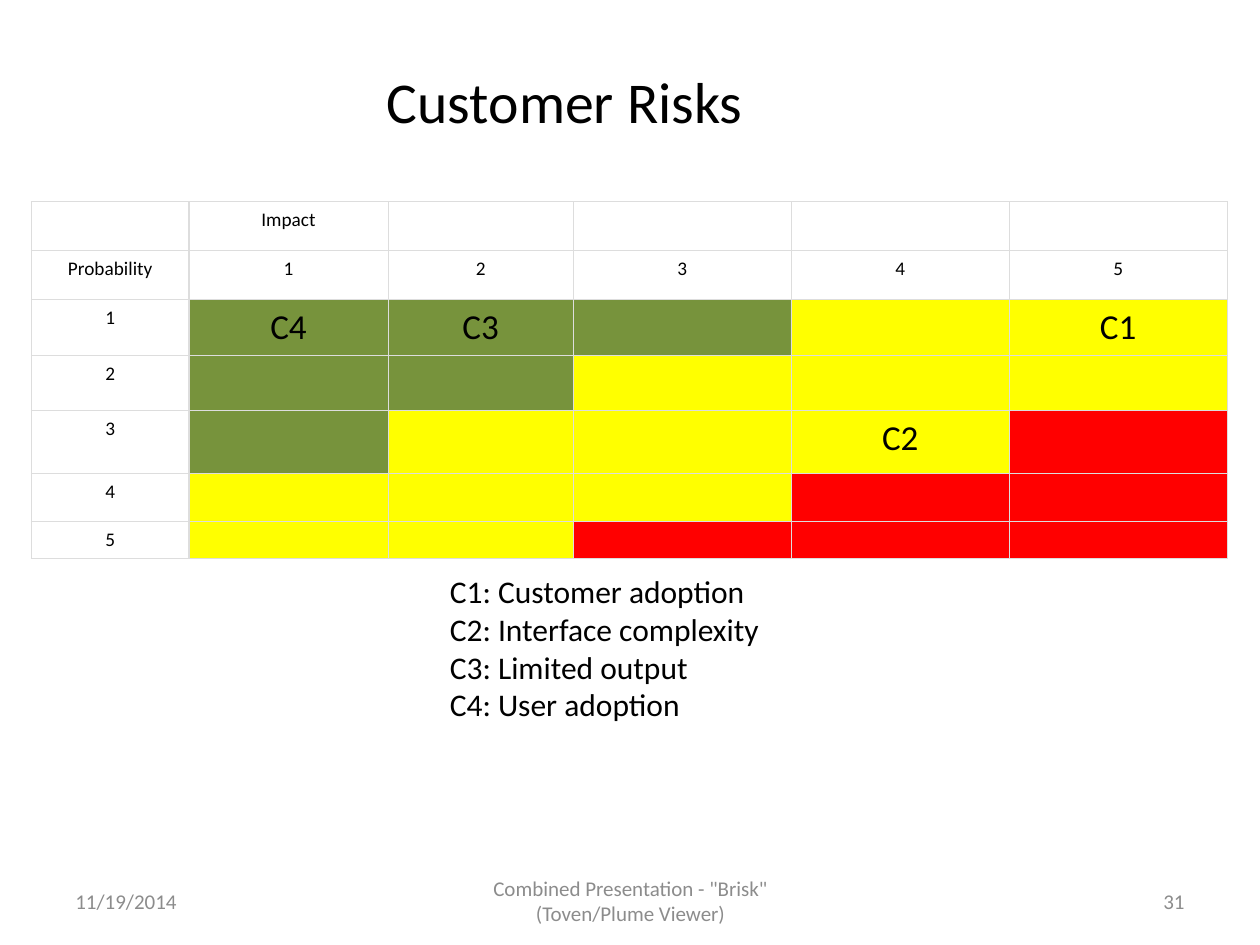
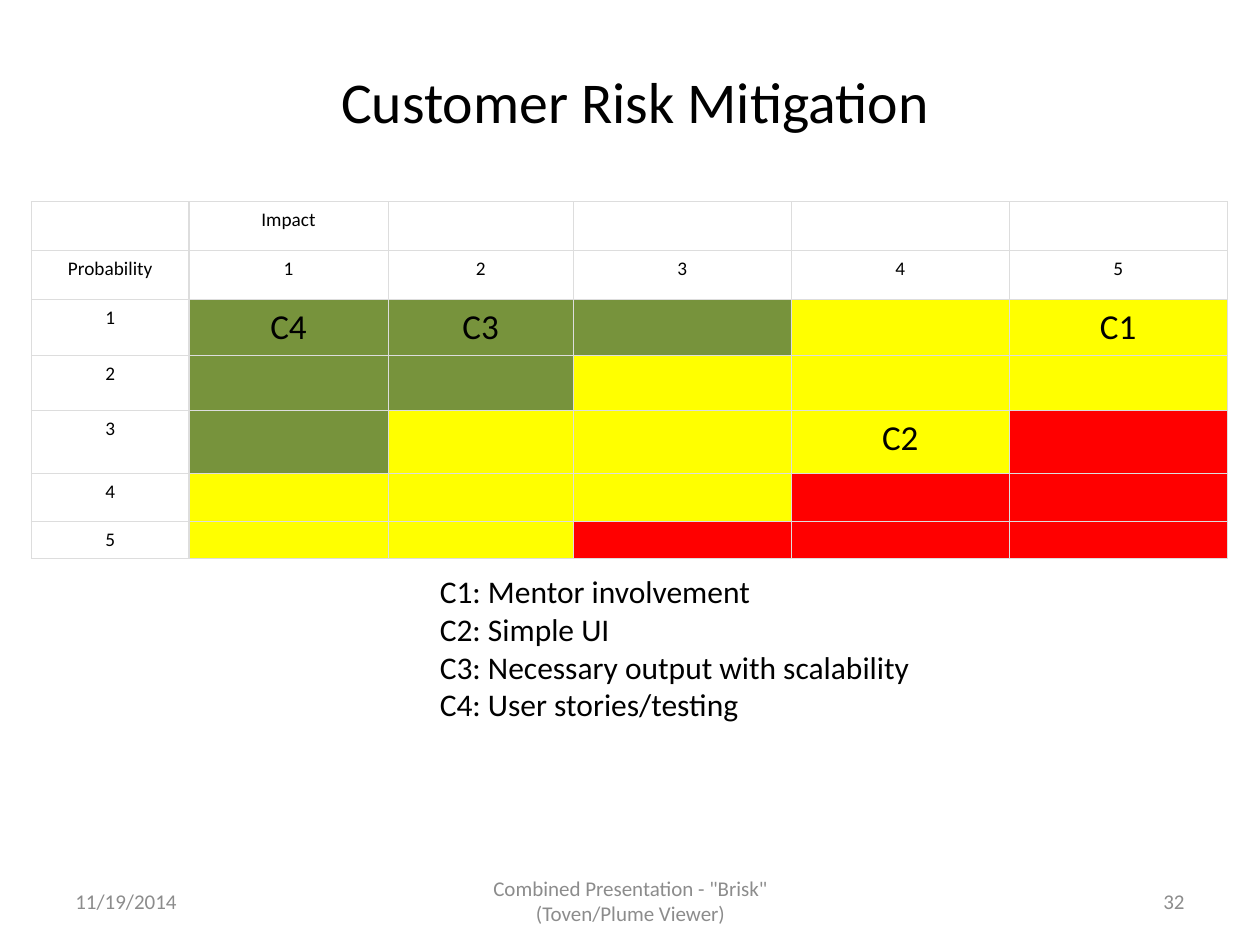
from lxml import etree
from pptx import Presentation
from pptx.dml.color import RGBColor
from pptx.enum import text
from pptx.oxml import ns
from pptx.util import Inches, Pt

FONT = "Calibri"
BLACK = RGBColor(0x00, 0x00, 0x00)
GRAY = RGBColor(0x8C, 0x8C, 0x8C)
WHITE = RGBColor(0xFF, 0xFF, 0xFF)
GREEN = RGBColor(0x77, 0x93, 0x3C)
YELLOW = RGBColor(0xFF, 0xFF, 0x00)
RED = RGBColor(0xFF, 0x00, 0x00)
GRID_LINE = RGBColor(0xDD, 0xDD, 0xDD)

LEFT, CENTER, RIGHT = text.PP_ALIGN.LEFT, text.PP_ALIGN.CENTER, text.PP_ALIGN.RIGHT
TIGHT = (0.07, 0.04)
ROOMY = (0.1, 0.05)

SLIDES = [
    {
        "title": "Customer Risks",
        "title_box": (3, 0.33, 3.25, 0.94),
        "title_align": LEFT,
        "legend": ["C1: Customer adoption", "C2: Interface complexity",
                   "C3: Limited output", "C4: User adoption"],
        "legend_box": (3.5, 4.5, 3.42, 1.59),
        "page": "31",
    },
    {
        "title": "Customer Risk Mitigation",
        "title_box": (2.58, 0.33, 4.92, 0.94),
        "title_align": CENTER,
        "legend": ["C1: Mentor involvement", "C2: Simple UI",
                   "C3: Necessary output with scalability", "C4: User stories/testing"],
        "legend_box": (3.42, 4.5, 4.25, 1.59),
        "page": "32",
    },
]

DATE = "11/19/2014"
FOOTER = 'Combined Presentation - "Brisk" (Toven/Plume Viewer)'
LEVELS = range(1, 6)
RISKS = {(1, 1): "C4", (1, 2): "C3", (1, 5): "C1", (3, 4): "C2"}
COLUMN_WIDTHS = [1.25, 1.58, 1.47, 1.73, 1.73, 1.73]
ROW_HEIGHTS = [0.39, 0.39, 0.43, 0.44, 0.5, 0.38, 0.29]


def style(paragraph, size, color, align):
    """Give a paragraph its font, colour and alignment."""
    paragraph.alignment = align
    paragraph.font.name = FONT
    paragraph.font.size = Pt(size)
    paragraph.font.color.rgb = color


def fill_text(shape, lines, size, color=BLACK, align=LEFT,
              anchor=text.MSO_ANCHOR.TOP, insets=ROOMY):
    """Write lines into a shape, one paragraph each."""
    frame = shape.text_frame
    frame.word_wrap = True
    frame.auto_size = text.MSO_AUTO_SIZE.NONE
    frame.vertical_anchor = anchor
    frame.margin_left = frame.margin_right = Inches(insets[0])
    frame.margin_top = frame.margin_bottom = Inches(insets[1])
    frame.text = "\n".join(lines)
    for paragraph in frame.paragraphs:
        style(paragraph, size, color, align)


def add_text(slide, box, lines, size, **options):
    """Add a text box placed in inches."""
    fill_text(slide.shapes.add_textbox(*map(Inches, box)), lines, size, **options)


def add_title(slide, title, box, align):
    """Place and format the title placeholder."""
    heading = slide.shapes.title
    heading.left, heading.top, heading.width, heading.height = map(Inches, box)
    fill_text(heading, [title], 33, align=align,
              anchor=text.MSO_ANCHOR.MIDDLE, insets=TIGHT)


def add_footer(slide, page):
    """Add the date, the presentation name and the page number."""
    for left, width, line, align in [(0.5, 2.33, DATE, LEFT),
                                     (3.42, 3.17, FOOTER, CENTER),
                                     (7.17, 2.33, page, RIGHT)]:
        add_text(slide, (left, 6.95, width, 0.4), [line], 12, color=GRAY,
                 align=align, anchor=text.MSO_ANCHOR.MIDDLE)


def risk_color(probability, impact):
    """Return the colour of a risk from the sum of its two levels."""
    score = probability + impact
    return GREEN if score <= 4 else YELLOW if score <= 7 else RED


def border_cell(cell):
    """Draw a thin line on the four sides of a cell."""
    properties = cell._tc.get_or_add_tcPr()
    for position, side in enumerate(("lnL", "lnR", "lnT", "lnB")):
        line = etree.Element(ns.qn(f"a:{side}"), w=str(Pt(0.75)))
        solid = etree.SubElement(line, ns.qn("a:solidFill"))
        etree.SubElement(solid, ns.qn("a:srgbClr"), val=str(GRID_LINE))
        properties.insert(position, line)


def format_cell(cell, label, size, color):
    """Write, colour and border one cell of the matrix."""
    cell.margin_left = cell.margin_right = Inches(0.05)
    cell.margin_top = cell.margin_bottom = Inches(0.05)
    cell.text = label
    paragraph = cell.text_frame.paragraphs[0]
    style(paragraph, size, BLACK, CENTER)
    if not label:
        etree.SubElement(paragraph._p, ns.qn("a:endParaRPr"), sz=str(size * 100))
    if color is None:
        cell.fill.background()
    else:
        cell.fill.solid()
        cell.fill.fore_color.rgb = color
    border_cell(cell)


def add_matrix(slide):
    """Add the table of probability against impact."""
    box = (0.25, 1.6, sum(COLUMN_WIDTHS), sum(ROW_HEIGHTS))
    matrix = slide.shapes.add_table(
        len(ROW_HEIGHTS), len(COLUMN_WIDTHS), *map(Inches, box)).table
    matrix.first_row = matrix.horz_banding = False
    for column, width in zip(matrix.columns, COLUMN_WIDTHS):
        column.width = Inches(width)
    for row, height in zip(matrix.rows, ROW_HEIGHTS):
        row.height = Inches(height)

    headings = [["", "Impact", "", "", "", ""], ["Probability", *map(str, LEVELS)]]
    for row, labels in enumerate(headings):
        for column, label in enumerate(labels):
            format_cell(matrix.cell(row, column), label, 11, None)
    for probability in LEVELS:
        row = probability + 1
        format_cell(matrix.cell(row, 0), str(probability), 11, WHITE)
        for impact in LEVELS:
            risk = RISKS.get((probability, impact), "")
            format_cell(matrix.cell(row, impact), risk, 20 if risk else 11,
                        risk_color(probability, impact))


def main():
    """Build the two risk slides."""
    deck = Presentation()
    deck.slide_width, deck.slide_height = Inches(10), Inches(7.5)
    for content in SLIDES:
        slide = deck.slides.add_slide(deck.slide_layouts[5])
        add_title(slide, content["title"], content["title_box"], content["title_align"])
        add_matrix(slide)
        add_text(slide, content["legend_box"], content["legend"], 18, insets=TIGHT)
        add_footer(slide, content["page"])
    deck.save("out.pptx")


if __name__ == "__main__":
    main()
